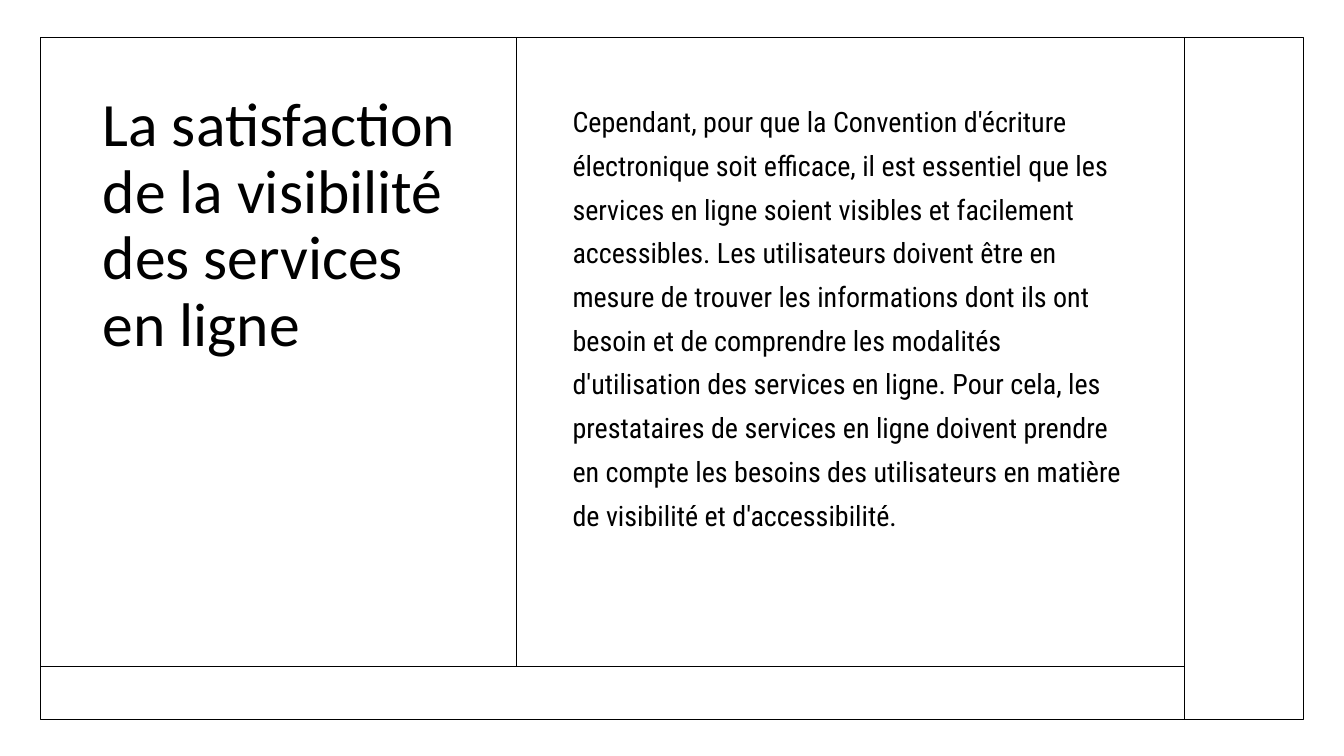
from dataclasses import dataclass

from lxml.etree import SubElement
from pptx import Presentation
from pptx.dml.color import RGBColor
from pptx.enum.shapes import MSO_CONNECTOR, MSO_SHAPE
from pptx.enum.text import MSO_ANCHOR, PP_ALIGN
from pptx.oxml.ns import qn
from pptx.slide import Slide
from pptx.util import Emu, Pt

BLACK = RGBColor(0x00, 0x00, 0x00)
WHITE = RGBColor(0xFF, 0xFF, 0xFF)
EMU_PER_PX = 9144  # 100 px to the inch
LINE_WIDTH = Pt(1)


@dataclass(frozen=True)
class Divider:
    x1: int
    y1: int
    x2: int
    y2: int


@dataclass(frozen=True)
class TextBlock:
    left: int
    top: int
    width: int
    height: int
    text: str
    font: str
    size: int
    line_spacing: float
    space_before: int = 0


DIVIDERS = (
    Divider(41, 661, 1175, 661),
    Divider(512, 38, 512, 661),
    Divider(1175, 37, 1175, 713),
)

TEXT_BLOCKS = (
    TextBlock(
        92, 88, 375, 523,
        "La satisfaction de la visibilité des services en ligne",
        "Calibri", 44, 0.9,
    ),
    TextBlock(
        558, 89, 571, 522,
        "Cependant, pour que la Convention d'écriture électronique soit efficace, "
        "il est essentiel que les services en ligne soient visibles et facilement "
        "accessibles. Les utilisateurs doivent être en mesure de trouver les "
        "informations dont ils ont besoin et de comprendre les modalités "
        "d'utilisation des services en ligne. Pour cela, les prestataires de "
        "services en ligne doivent prendre en compte les besoins des utilisateurs "
        "en matière de visibilité et d'accessibilité.",
        "Roboto Condensed", 20, 1.3, 10,
    ),
)


def px(length: int) -> Emu:
    return Emu(length * EMU_PER_PX)


def set_all(target: object, values: dict[str, object]) -> None:
    for name, value in values.items():
        setattr(target, name, value)


def draw_frame(page: Slide) -> None:
    frame = page.shapes.add_shape(
        MSO_SHAPE.RECTANGLE, px(40), px(37), px(1253), px(677)
    )
    frame.shadow.inherit = False
    frame.fill.background()
    frame.line.color.rgb = BLACK
    frame.line.width = LINE_WIDTH


def draw_divider(page: Slide, divider: Divider) -> None:
    connector = page.shapes.add_connector(
        MSO_CONNECTOR.STRAIGHT,
        px(divider.x1), px(divider.y1), px(divider.x2), px(divider.y2),
    )
    connector.line.color.rgb = BLACK
    connector.line.width = LINE_WIDTH
    SubElement(connector.element.spPr, qn("a:effectLst"))


def draw_text(page: Slide, block: TextBlock) -> None:
    box = page.shapes.add_textbox(
        px(block.left), px(block.top), px(block.width), px(block.height)
    )
    set_all(box.text_frame, {"word_wrap": True, "vertical_anchor": MSO_ANCHOR.TOP})
    para = box.text_frame.paragraphs[0]
    set_all(para, {
        "alignment": PP_ALIGN.LEFT,
        "line_spacing": block.line_spacing,
        "space_before": Pt(block.space_before),
    })
    span = para.add_run()
    span.text = block.text
    set_all(span.font, {"name": block.font, "size": Pt(block.size)})
    span.font.color.rgb = BLACK


def main() -> None:
    deck = Presentation()
    set_all(deck, {"slide_width": px(1333), "slide_height": px(750)})
    page = deck.slides.add_slide(deck.slide_layouts[6])
    page.background.fill.solid()
    page.background.fill.fore_color.rgb = WHITE

    draw_frame(page)
    for divider in DIVIDERS:
        draw_divider(page, divider)
    for block in TEXT_BLOCKS:
        draw_text(page, block)
    deck.save("out.pptx")


if __name__ == "__main__":
    main()
